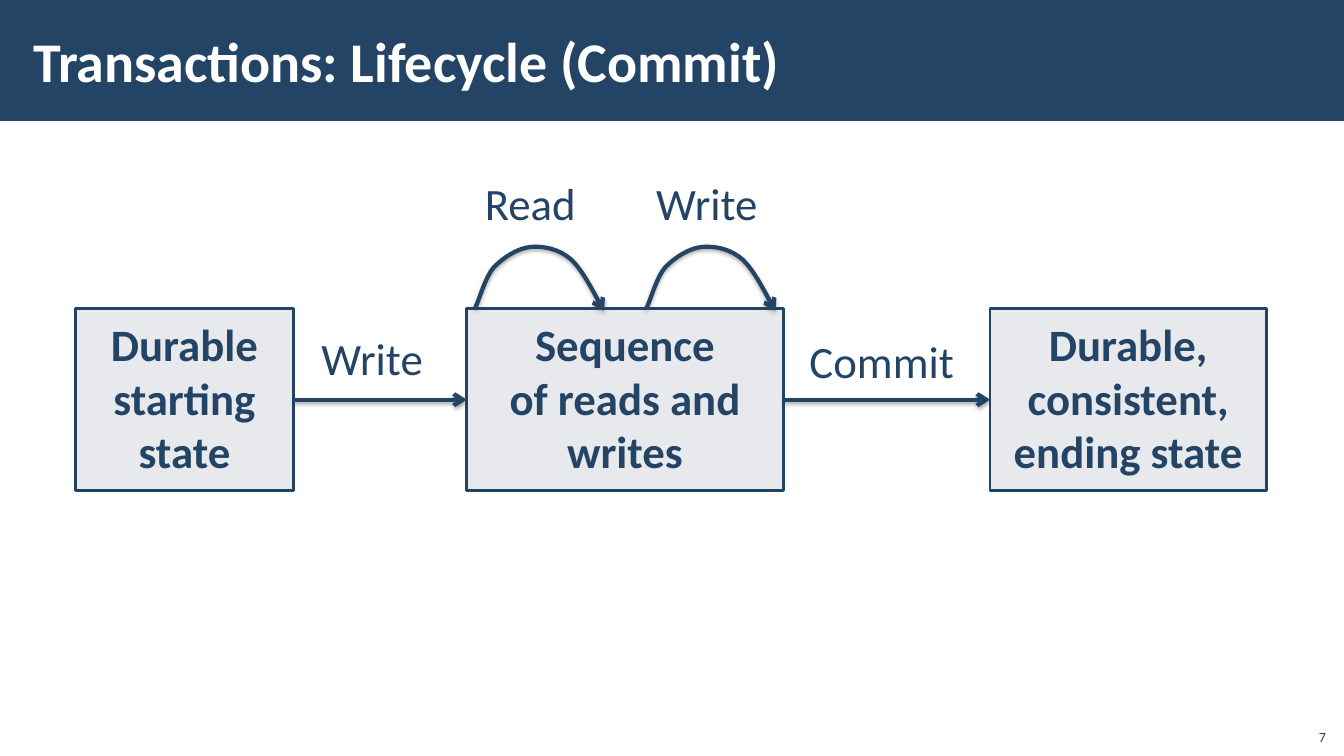
"""Build a slide showing the lifecycle of a committed transaction."""
from lxml import etree
from pptx import Presentation
from pptx import util as u
from pptx.dml.color import RGBColor
from pptx.enum import shapes, text
from pptx.oxml import ns

SLIDE_WIDTH, SLIDE_HEIGHT = 13.33, 7.5
FONT = "Calibri"
COLORS = {"navy": "234465", "white": "FFFFFF", "box": "D1D5DD", "shadow": "000000"}
TITLE = "Transactions: Lifecycle (Commit)"
PAGE_NUMBER = "7"
BAND_HEIGHT = 0.16 * SLIDE_HEIGHT
BOX_TOP, BOX_HEIGHT = 3.06, 1.81
STATES = [
    ("Durable starting state", 0.75, 2.16, 0.1),
    ("Sequence\vof reads and writes", 4.63, 3.14, 0.1),
    ("Durable,\nconsistent,\nending state", 9.82, 2.74, 0.12),
]
LABEL_HEIGHT = 0.64
LABELS = [
    ("Write", 3.09, 3.23, 1.22),
    ("Commit", 7.93, 3.26, 1.65),
    ("Read", 4.71, 1.69, 1.11),
    ("Write", 6.41, 1.69, 1.22),
]
LOOP_LEFTS = [4.71, 6.41]
LOOP_START = (0, 0)
LOOP_CURVES = [
    ((0.04, -0.07), (0.1, -0.31), (0.19, -0.41)),
    ((0.29, -0.51), (0.43, -0.6), (0.56, -0.61)),
    ((0.68, -0.62), (0.84, -0.59), (0.96, -0.48)),
    ((1.08, -0.37), (1.22, -0.08), (1.28, 0.03)),
]
CURVE_STEPS = 8


def rgb(name):
    return RGBColor.from_string(COLORS[name])


def inches(*lengths):
    return [u.Inches(length) for length in lengths]


def write(shape, words, size, color="navy", bold=False, align=text.PP_ALIGN.LEFT,
          anchor=text.MSO_ANCHOR.TOP, margins=(0.1, 0.05, 0.1, 0.05), wrap=True):
    frame = shape.text_frame
    frame.text = words
    frame.word_wrap = wrap
    frame.vertical_anchor = anchor
    (frame.margin_left, frame.margin_top,
     frame.margin_right, frame.margin_bottom) = inches(*margins)
    for paragraph in frame.paragraphs:
        paragraph.alignment = align
        for run in paragraph.runs:
            run.font.name, run.font.size, run.font.bold = FONT, u.Pt(size), bold
            run.font.color.rgb = rgb(color)


def add_text(slide, words, place, size, **style):
    write(slide.shapes.add_textbox(*inches(*place)), words, size, **style)


def add_rectangle(slide, place, color):
    shape = slide.shapes.add_shape(shapes.MSO_SHAPE.RECTANGLE, *inches(*place))
    shape.shadow.inherit = False
    shape.fill.solid()
    shape.fill.fore_color.rgb = rgb(color)
    return shape


def add_state(slide, words, left, width, side_margin):
    shape = add_rectangle(slide, (left, BOX_TOP, width, BOX_HEIGHT), "box")
    fill_color = shape.element.spPr.find(ns.qn("a:solidFill"))[0]
    etree.SubElement(fill_color, ns.qn("a:alpha"), val="50000")
    shape.line.color.rgb = rgb("navy")
    shape.line.width = u.Pt(2)
    write(shape, words, 32, bold=True, align=text.PP_ALIGN.CENTER,
          margins=(side_margin, 0.08, side_margin, 0.12))


def style_arrow(shape):
    shape.line.color.rgb = rgb("navy")
    shape.line.width = u.Pt(3)
    properties = shape.element.spPr
    etree.SubElement(properties.find(ns.qn("a:ln")), ns.qn("a:tailEnd"), type="arrow")
    effects = etree.SubElement(properties, ns.qn("a:effectLst"))
    shadow = etree.SubElement(effects, ns.qn("a:outerShdw"), blurRad=str(u.Pt(3.1)),
                              dist=str(u.Pt(1.8)), dir="5400000", rotWithShape="0")
    color = etree.SubElement(shadow, ns.qn("a:srgbClr"), val=COLORS["shadow"])
    etree.SubElement(color, ns.qn("a:alpha"), val="35000")


def add_flow_arrow(slide, start, end):
    middle = BOX_TOP + BOX_HEIGHT / 2
    style_arrow(slide.shapes.add_connector(
        shapes.MSO_CONNECTOR.STRAIGHT, *inches(start, middle, end, middle)))


def loop_points(left):
    points = [LOOP_START]
    for first, second, end in LOOP_CURVES:
        start = points[-1]
        for step in range(1, CURVE_STEPS + 1):
            t = step / CURVE_STEPS
            weights = ((1 - t) ** 3, 3 * t * (1 - t) ** 2, 3 * t ** 2 * (1 - t), t ** 3)
            points.append(tuple(
                sum(weight * value for weight, value in zip(weights, values))
                for values in zip(start, first, second, end)))
    return [inches(left + x, BOX_TOP + y) for x, y in points]


def add_loop(slide, left):
    start, *points = loop_points(left)
    builder = slide.shapes.build_freeform(*start)
    builder.add_line_segments(points, close=False)
    shape = builder.convert_to_shape()
    shape.fill.background()
    style_arrow(shape)


def main():
    presentation = Presentation()
    presentation.slide_width, presentation.slide_height = inches(SLIDE_WIDTH, SLIDE_HEIGHT)
    slide = presentation.slides.add_slide(presentation.slide_layouts[6])
    band = add_rectangle(slide, (0, 0, SLIDE_WIDTH, BAND_HEIGHT), "navy")
    band.line.fill.background()
    add_text(slide, TITLE, (0.21, 0.11, 10.63, 0.97), 40, color="white", bold=True,
             anchor=text.MSO_ANCHOR.MIDDLE, margins=(0.12, 0.04, 0.12, 0.04))
    for (_, left, width, _), (_, next_left, _, _) in zip(STATES, STATES[1:]):
        add_flow_arrow(slide, left + width, next_left)
    for left in LOOP_LEFTS:
        add_loop(slide, left)
    for words, left, top, width in LABELS:
        add_text(slide, words, (left, top, width, LABEL_HEIGHT), 32, wrap=False)
    for state in STATES:
        add_state(slide, *state)
    add_text(slide, PAGE_NUMBER, (12.85, 7.12, 0.4, 0.32), 10,
             align=text.PP_ALIGN.RIGHT, anchor=text.MSO_ANCHOR.BOTTOM)
    presentation.save("out.pptx")


if __name__ == "__main__":
    main()
